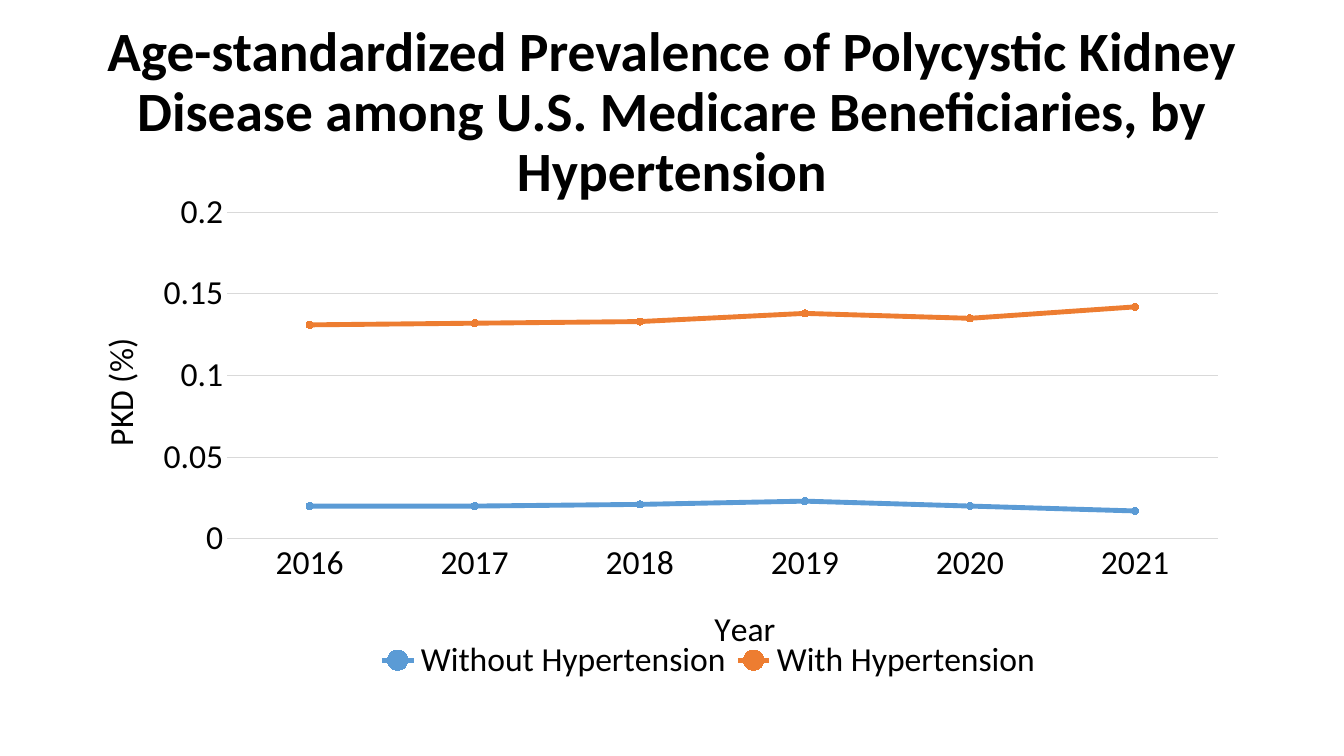
from lxml.etree import SubElement
from pptx import Presentation
from pptx.chart.data import CategoryChartData
from pptx.dml.color import RGBColor
from pptx.enum.chart import XL_CHART_TYPE, XL_LEGEND_POSITION, XL_MARKER_STYLE, XL_TICK_MARK
from pptx.enum.text import MSO_ANCHOR, PP_ALIGN
from pptx.oxml.ns import qn
from pptx.util import Cm, Pt

TITLE = ("Age-standardized Prevalence of Polycystic Kidney Disease among "
         "U.S. Medicare Beneficiaries, by Hypertension")
YEARS = ["2016", "2017", "2018", "2019", "2020", "2021"]
PREVALENCE = [
    ("Without Hypertension", "5B9BD5", [0.02, 0.02, 0.021, 0.023, 0.02, 0.017]),
    ("With Hypertension", "ED7D31", [0.131, 0.132, 0.133, 0.138, 0.135, 0.142]),
]


def color(hex_string):
    return RGBColor.from_string(hex_string)


class PrevalenceSlide:
    """Holds the style and the current slide, and draws each kind of element."""

    font_name = "Calibri"
    text_color = "000000"
    grid_color = "D9D9D9"
    chart_size = 24

    def __init__(self, presentation):
        self.slide = presentation.slides.add_slide(presentation.slide_layouts[6])

    def style_font(self, font, size, bold=False):
        font.name = self.font_name
        font.size = Pt(size)
        font.bold = bold
        font.color.rgb = color(self.text_color)

    def style_line(self, line, hex_string, width):
        line.color.rgb = color(hex_string)
        line.width = Pt(width)

    def add_title(self, text, left, top, width, height):
        shape = self.slide.shapes.add_textbox(Cm(left), Cm(top), Cm(width), Cm(height))
        frame = shape.text_frame
        frame.word_wrap = True
        frame.vertical_anchor = MSO_ANCHOR.MIDDLE
        paragraph = frame.paragraphs[0]
        paragraph.alignment = PP_ALIGN.CENTER
        paragraph.line_spacing = 0.9
        run = paragraph.add_run()
        run.text = text
        self.style_font(run.font, 39.6, bold=True)

    def place(self, element, inner=False, **fractions):
        for layout in element.findall(qn("c:layout")):
            element.remove(layout)
        layout = SubElement(element, qn("c:layout"))
        manual = SubElement(layout, qn("c:manualLayout"))
        if inner:
            SubElement(manual, qn("c:layoutTarget")).set("val", "inner")
        for mode in ("xMode", "yMode"):
            SubElement(manual, qn(f"c:{mode}")).set("val", "edge")
        for name, fraction in fractions.items():
            SubElement(manual, qn(f"c:{name}")).set("val", str(fraction))
        overlay = element.find(qn("c:overlay"))
        if overlay is None:
            element.insert(0, layout)
        else:
            overlay.addprevious(layout)

    def style_axis(self, axis, title, rotation, x, y):
        axis.major_tick_mark = axis.minor_tick_mark = XL_TICK_MARK.NONE
        self.style_font(axis.tick_labels.font, self.chart_size)
        axis_title = axis.axis_title
        run = axis_title.text_frame.paragraphs[0].add_run()
        run.text = title
        self.style_font(run.font, self.chart_size)
        body = next(axis_title._element.iter(qn("a:bodyPr")))
        body.set("rot", str(rotation * 60000))
        body.set("vert", "horz")
        self.place(axis_title._element, x=x, y=y)

    def style_series(self, series, hex_string):
        series.smooth = False
        self.style_line(series.format.line, hex_string, 3.5)
        marker = series.marker
        marker.style = XL_MARKER_STYLE.CIRCLE
        marker.size = 5
        marker.format.fill.solid()
        marker.format.fill.fore_color.rgb = color(hex_string)
        self.style_line(marker.format.line, hex_string, 0.75)

    def add_legend(self, chart):
        chart.has_legend = True
        legend = chart.legend
        legend.position = XL_LEGEND_POSITION.BOTTOM
        legend.include_in_layout = False
        self.style_font(legend.font, self.chart_size)
        self.place(legend._element, x=0.25, y=0.89, w=0.56, h=0.1)

    def add_line_chart(self, years, prevalence, left, top, width, height):
        data = CategoryChartData()
        data.categories = years
        for name, _, values in prevalence:
            data.add_series(name, values)
        chart = self.slide.shapes.add_chart(
            XL_CHART_TYPE.LINE_MARKERS, Cm(left), Cm(top), Cm(width), Cm(height), data
        ).chart
        chart.has_title = False
        self.style_font(chart.font, self.chart_size)
        chart.plots[0].vary_by_categories = False
        for series, (_, hex_string, _) in zip(chart.plots[0].series, prevalence):
            self.style_series(series, hex_string)

        self.style_axis(chart.category_axis, "Year", 0, 0.53, 0.82)
        self.style_line(chart.category_axis.format.line, self.grid_color, 0.75)

        value_axis = chart.value_axis
        self.style_axis(value_axis, "PKD (%)", -90, 0.02, 0.29)
        value_axis.minimum_scale = 0
        value_axis.maximum_scale = 0.2
        value_axis.major_unit = 0.05
        value_axis.tick_labels.number_format = "General"
        value_axis.tick_labels.number_format_is_linked = False
        value_axis.format.line.fill.background()
        self.style_line(value_axis.major_gridlines.format.line, self.grid_color, 0.75)

        self.add_legend(chart)
        plot_area = next(chart._chartSpace.iter(qn("c:plotArea")))
        self.place(plot_area, inner=True, x=0.132, y=0.051, w=0.819, h=0.648)


def main():
    presentation = Presentation()
    presentation.slide_width = Cm(33.87)
    presentation.slide_height = Cm(19.05)
    slide = PrevalenceSlide(presentation)
    slide.add_title(TITLE, 0.69, 1.02, 32.49, 3.68)
    slide.add_line_chart(YEARS, PREVALENCE, 1.7, 4.7, 30.48, 12.7)
    presentation.save("out.pptx")


if __name__ == "__main__":
    main()
